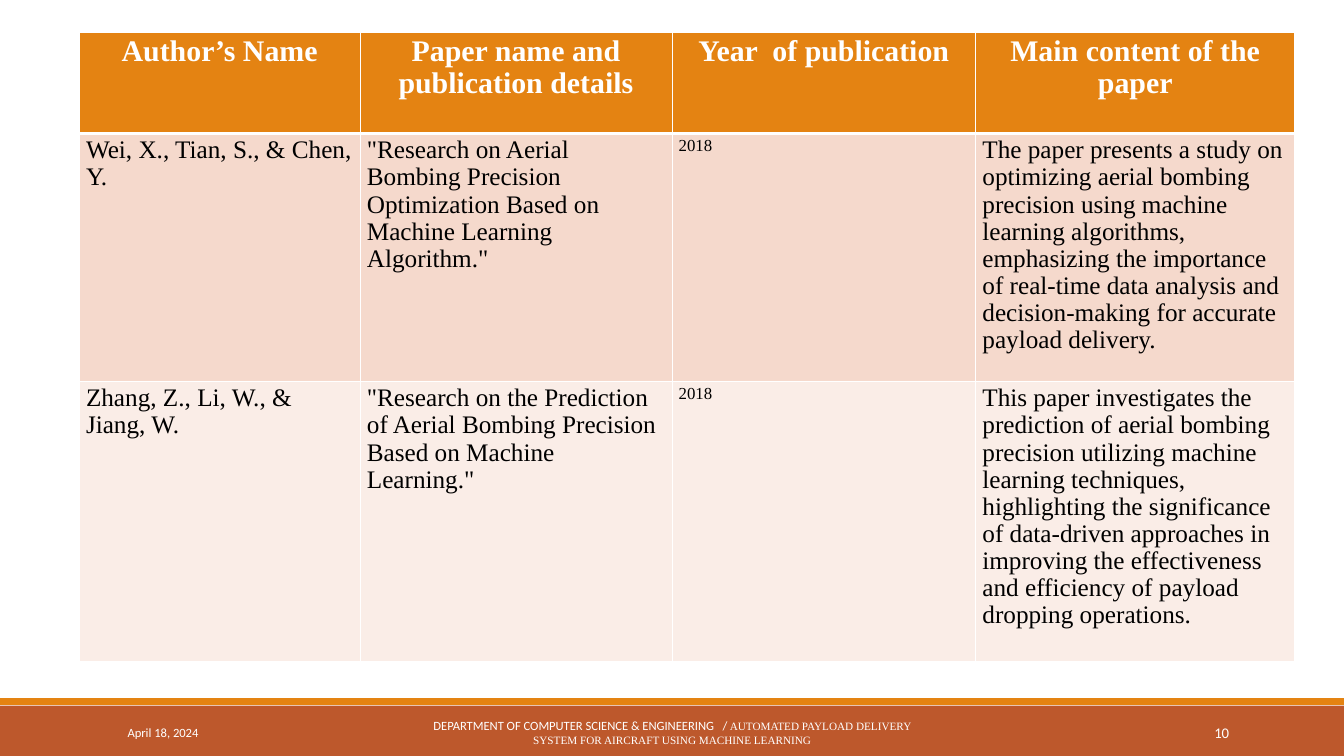
from lxml.etree import SubElement as Sub
from pptx import Presentation
from pptx.dml.color import RGBColor as Rgb
from pptx.enum.shapes import MSO_SHAPE as Form
from pptx.enum.text import MSO_ANCHOR as Anchor, PP_ALIGN as Align
from pptx.oxml.ns import qn
from pptx.util import Inches, Pt

SERIF, SANS = "Times New Roman", "Calibri"
ORANGE, RUST, WHITE = "E48312", "BD582C", "FFFFFF"
BANDS = ["F5D9CC", "FAEDE7"]
WIDTHS = [4.18, 4.64, 4.52, 4.75]
HEIGHTS = [1.51, 3.69, 4.16]
PAPERS = [
    ["Author’s Name", "Paper name and publication details",
     "Year  of publication", "Main content of the paper"],
    ["Wei, X., Tian, S., & Chen, Y.",
     '"Research on Aerial Bombing Precision Optimization Based on '
     'Machine Learning Algorithm."',
     "2018",
     "The paper presents a study on optimizing aerial bombing precision "
     "using machine learning algorithms, emphasizing the importance of "
     "real-time data analysis and decision-making for accurate "
     "payload delivery."],
    ["Zhang, Z., Li, W., & Jiang, W.",
     '"Research on the Prediction of Aerial Bombing Precision Based on '
     'Machine Learning."',
     "2018",
     "This paper investigates the prediction of aerial bombing precision "
     "utilizing machine learning techniques, highlighting the significance "
     "of data-driven approaches in improving the effectiveness and "
     "efficiency of payload dropping operations."],
]


def paint(part, color):
    part.fill.solid()
    part.fill.fore_color.rgb = Rgb.from_string(color)


def write(para, text, size=13.5, font=SANS, color=WHITE, bold=False,
          align=Align.LEFT):
    para.alignment = align
    run = para.add_run()
    run.text = text
    run.font.size = Pt(size)
    run.font.name = font
    run.font.bold = bold
    run.font.color.rgb = Rgb.from_string(color)


def add_bar(slide, left, top, width, height, color):
    bar = slide.shapes.add_shape(Form.RECTANGLE, Inches(left), Inches(top),
                                 Inches(width), Inches(height))
    bar.shadow.inherit = False
    bar.line.fill.background()
    paint(bar, color)


def add_note(slide, left, top, width, height):
    box = slide.shapes.add_textbox(Inches(left), Inches(top),
                                   Inches(width), Inches(height))
    frame = box.text_frame
    frame.word_wrap = True
    frame.vertical_anchor = Anchor.MIDDLE
    return frame.paragraphs[0]


def add_edges(cell, base):
    props = cell._tc.get_or_add_tcPr()
    for side, width in zip("LRTB", [1, 1, 1, base]):
        edge = Sub(props, qn("a:ln" + side), w=str(Pt(width)))
        fill = Sub(edge, qn("a:solidFill"))
        Sub(fill, qn("a:srgbClr"), val=WHITE)


def add_papers(slide, left, top):
    table = slide.shapes.add_table(
        len(HEIGHTS), len(WIDTHS), Inches(left), Inches(top),
        Inches(sum(WIDTHS)), Inches(sum(HEIGHTS))).table
    for col, width in zip(table.columns, WIDTHS):
        col.width = Inches(width)
    for i, (row, height) in enumerate(zip(table.rows, HEIGHTS)):
        row.height = Inches(height)
        head = i == 0
        for j, (cell, text) in enumerate(zip(row.cells, PAPERS[i])):
            add_edges(cell, 3 if head or i == 0 else 1)
            paint(cell, ORANGE if head else BANDS[i - 1])
            para = cell.text_frame.paragraphs[0]
            para.line_spacing = 0.97
            if head:
                write(para, text, size=32, font=SERIF, bold=True,
                      align=Align.CENTER)
            else:
                write(para, text, size=18 if j == 2 else 27, font=SERIF,
                      color="000000")


def add_footer(slide, left, top, width):
    add_bar(slide, left, top + 0.11, width, 0.75, RUST)
    add_bar(slide, left, top, width, 0.1, ORANGE)
    line = top + 0.21
    write(add_note(slide, left + 1.8, line, 4.06, 0.6), "April 18, 2024")
    dept = add_note(slide, left + 6.05, line, 7.91, 0.6)
    write(dept, "DEPARTMENT OF COMPUTER SCIENCE & ENGINEERING   /",
          align=Align.CENTER)
    write(dept, " AUTOMATED PAYLOAD DELIVERY SYSTEM FOR AIRCRAFT USING "
          "MACHINE LEARNING", size=12, font=SERIF, align=Align.CENTER)
    write(add_note(slide, left + 16.24, line, 2.15, 0.6), "10", size=15.8,
          align=Align.RIGHT)


def main():
    deck = Presentation()
    deck.slide_width, deck.slide_height = Inches(20), Inches(11.25)
    slide = deck.slides.add_slide(deck.slide_layouts[6])
    add_footer(slide, 0, 10.39, 20)
    add_papers(slide, 1.18, 0.48)
    deck.save("out.pptx")


if __name__ == "__main__":
    main()
